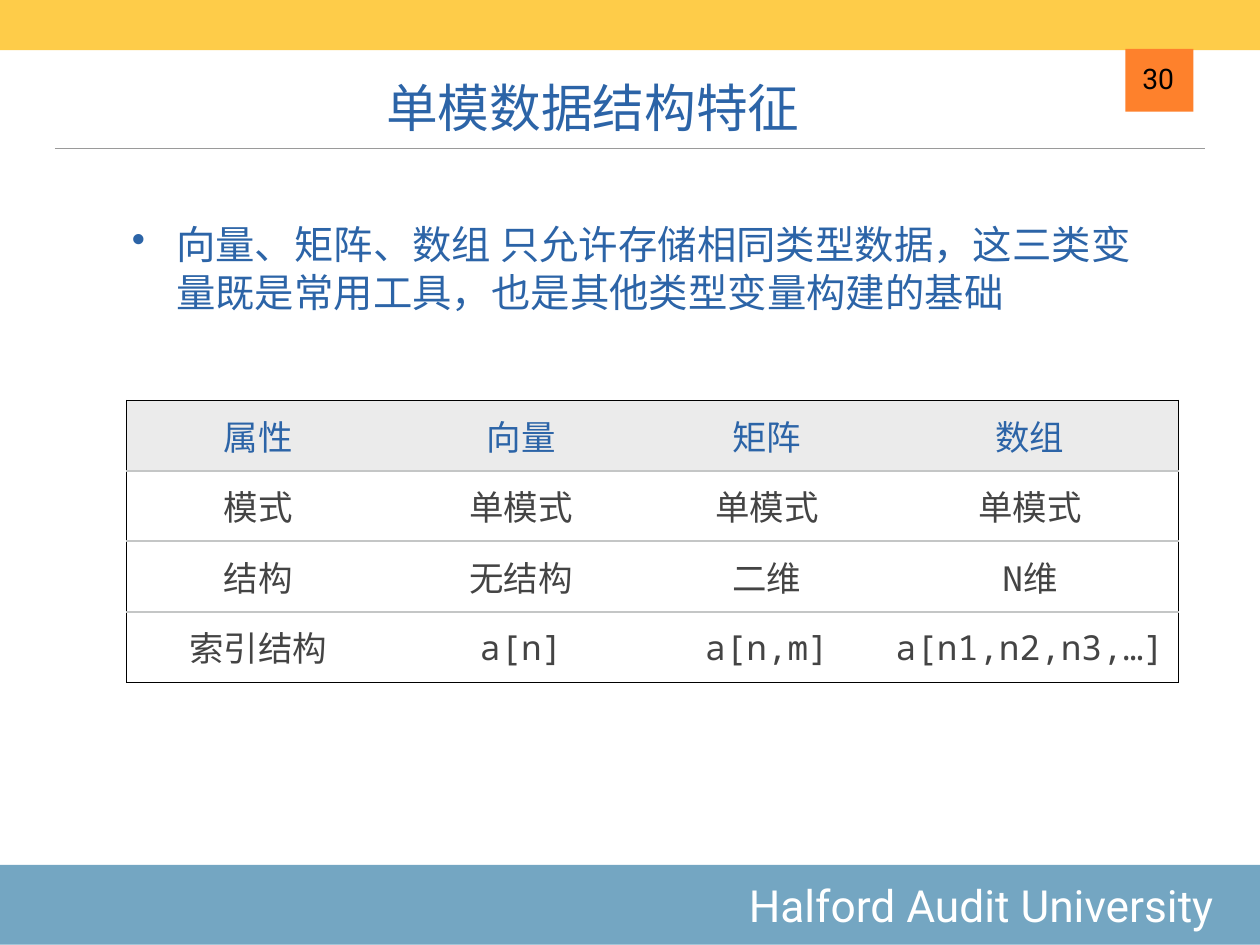
from dataclasses import dataclass

from lxml import etree
from pptx import Presentation
from pptx import util as u
from pptx.dml.color import RGBColor
from pptx.enum import shapes, text
from pptx.oxml import ns


@dataclass(frozen=True)
class Theme:
    """Colours, fonts and type sizes of the slide."""
    gold: str = "FECC49"
    orange: str = "FE812C"
    sky: str = "74A6C2"
    blue: str = "2C64A7"
    ink: str = "444444"
    black: str = "000000"
    white: str = "FFFFFF"
    rule: str = "9A9A9A"
    grid: str = "C4C6C6"
    header: str = "EBEBEB"
    sans: str = "Roboto"
    mono: str = "Noto Sans Mono"
    title_size: int = 42
    footer_size: int = 36
    body_size: int = 32
    table_size: int = 28
    number_size: int = 23


THEME = Theme()
INSET = u.Cm(0.15)
MARGINS = {"margin_" + side: INSET for side in ("left", "top", "right", "bottom")}
MIDDLE, BOTTOM = text.MSO_ANCHOR.MIDDLE, text.MSO_ANCHOR.BOTTOM
LEFT, CENTER, RIGHT = text.PP_ALIGN.LEFT, text.PP_ALIGN.CENTER, text.PP_ALIGN.RIGHT

HEADINGS = ["属性", "向量", "矩阵", "数组"]
FEATURES = [
    ["模式", "单模式", "单模式", "单模式"],
    ["结构", "无结构", "二维", "N维"],
    ["索引结构", "a[n]", "a[n,m]", "a[n1,n2,n3,…]"],
]
COLUMN_WIDTHS = [7.54, 7.54, 6.55, 8.53]


def apply(target, values):
    """Set every attribute named in a dict of format values."""
    for name, value in values.items():
        setattr(target, name, value)


def lengths(box):
    """Turn a box of centimetres into lengths."""
    return [u.Cm(value) for value in box]


def write(frame, words, font, size, color, align):
    """Write one styled paragraph into a text frame and return it."""
    paragraph = frame.paragraphs[0]
    paragraph.alignment = align
    run = paragraph.add_run()
    run.text = words
    apply(run.font, {"name": font, "size": u.Pt(size)})
    run.font.color.rgb = RGBColor.from_string(color)
    return paragraph


def add_band(slide, box, color):
    """Draw a plain filled rectangle."""
    band = slide.shapes.add_shape(shapes.MSO_SHAPE.RECTANGLE, *lengths(box))
    band.shadow.inherit = False
    band.fill.solid()
    band.fill.fore_color.rgb = RGBColor.from_string(color)
    band.line.fill.background()
    return band


def add_words(slide, box, words, font, size, color, align, **layout):
    """Place a text box and return its paragraph."""
    frame = slide.shapes.add_textbox(*lengths(box)).text_frame
    apply(frame, {**MARGINS, "word_wrap": True, "vertical_anchor": MIDDLE, **layout})
    return write(frame, words, font, size, color, align)


def add_rule(slide, left, right, top):
    """Draw the thin line under the title."""
    rule = slide.shapes.add_connector(
        shapes.MSO_CONNECTOR.STRAIGHT, *lengths((left, top, right, top)))
    rule.line.color.rgb = RGBColor.from_string(THEME.rule)
    rule.line.width = u.Pt(1)
    etree.SubElement(rule._element.spPr, ns.qn("a:effectLst"))


def add_footer(slide, box):
    """Draw the bottom band with the school name."""
    frame = add_band(slide, box, THEME.sky).text_frame
    apply(frame, {**MARGINS, "margin_right": u.Cm(1.38), "vertical_anchor": MIDDLE})
    write(frame, "Halford Audit University", THEME.sans, THEME.footer_size,
          THEME.white, RIGHT)


def add_page_number(slide, box):
    """Draw the orange tab and the page number inside it."""
    left, top, _, _ = box
    add_band(slide, box, THEME.orange)
    add_words(slide, (left + 0.33, top + 0.25, 1.22, 1.24), "30", THEME.sans,
              THEME.number_size, THEME.black, RIGHT,
              word_wrap=False, vertical_anchor=BOTTOM)


def add_bullet(slide, box, words):
    """Place the bulleted statement with a hanging indent."""
    paragraph = add_words(slide, box, words, THEME.mono, THEME.body_size,
                          THEME.blue, LEFT)
    properties = paragraph._p.get_or_add_pPr()
    properties.set("marL", str(u.Cm(1.27)))
    properties.set("indent", str(u.Cm(-1.27)))
    etree.SubElement(properties, ns.qn("a:buChar"), char="•")


def set_borders(cell, borders):
    """Set left, right, top and bottom borders; None hides a side."""
    properties = cell._tc.get_or_add_tcPr()
    for position, (side, border) in enumerate(zip("LRTB", borders)):
        line = etree.Element(ns.qn("a:ln" + side))
        if border:
            color, points = border
            line.set("w", str(u.Pt(points)))
            fill = etree.SubElement(line, ns.qn("a:solidFill"))
            etree.SubElement(fill, ns.qn("a:srgbClr"), val=color)
        else:
            etree.SubElement(line, ns.qn("a:noFill"))
        properties.insert(position, line)


def add_feature_table(slide, box, rows, widths):
    """Build the comparison table with a dark frame and grey row lines."""
    frame, divider = (THEME.black, 1), (THEME.grid, 2)
    table = slide.shapes.add_table(len(rows), len(widths), *lengths(box)).table
    apply(table, {"first_row": False, "horz_banding": False})
    for column, width in zip(table.columns, widths):
        column.width = u.Cm(width)
    last_row, last_column = len(rows) - 1, len(widths) - 1
    for r, row in enumerate(rows):
        table.rows[r].height = u.Cm(box[3] / len(rows))
        for c, words in enumerate(row):
            cell = table.cell(r, c)
            apply(cell, {**MARGINS, "vertical_anchor": MIDDLE})
            cell.fill.solid()
            cell.fill.fore_color.rgb = RGBColor.from_string(
                THEME.white if r else THEME.header)
            write(cell.text_frame, words, THEME.mono, THEME.table_size,
                  THEME.ink if r else THEME.blue, CENTER)
            set_borders(cell, (
                frame if c == 0 else None,
                frame if c == last_column else None,
                frame if r == 0 else divider,
                frame if r == last_row else divider,
            ))


def build():
    """Assemble the slide and save it."""
    deck = Presentation()
    apply(deck, {"slide_width": u.Cm(36.12), "slide_height": u.Cm(27.1)})
    slide = deck.slides.add_slide(deck.slide_layouts[6])
    add_rule(slide, 1.57, 34.54, 4.27)
    add_footer(slide, (-0.05, 24.8, 36.22, 2.29))
    add_band(slide, (-0.05, 0, 36.22, 1.44), THEME.gold)
    add_page_number(slide, (32.26, 1.4, 1.95, 1.8))
    add_words(slide, (2.11, 1.57, 29.77, 2.54), "单模数据结构特征", THEME.sans,
              THEME.title_size, THEME.blue, CENTER, vertical_anchor=BOTTOM)
    add_feature_table(slide, (3.63, 11.48, sum(COLUMN_WIDTHS), 8.08),
                      [HEADINGS, *FEATURES], COLUMN_WIDTHS)
    add_bullet(slide, (3.63, 6.17, 29.77, 3.02),
               "向量、矩阵、数组 只允许存储相同类型数据，"
               "这三类变量既是常用工具，也是其他类型变量构建的基础")
    deck.save("out.pptx")


build()
